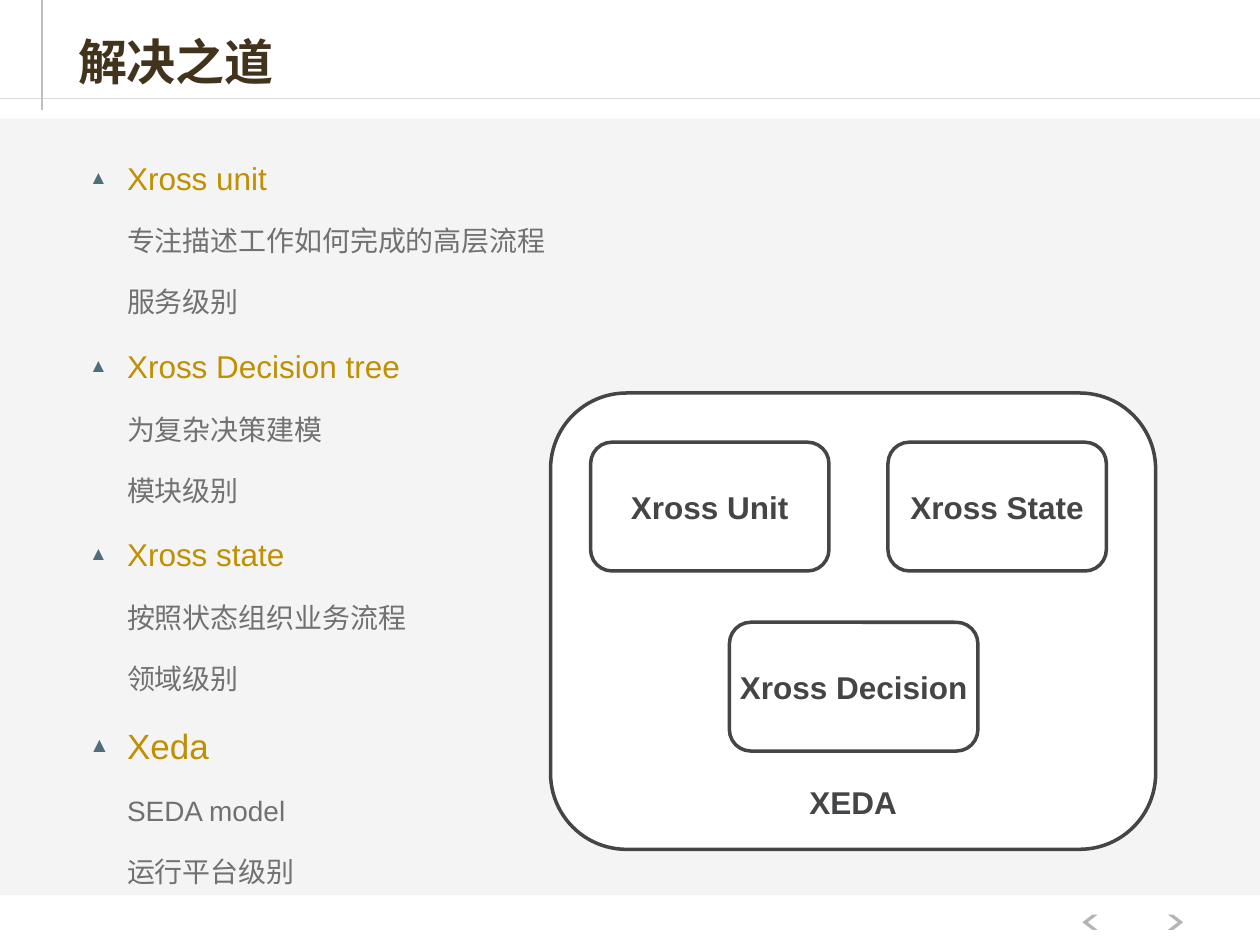
import pptx
import pptx.util
import pptx.dml.color
import pptx.enum.shapes
import pptx.enum.text
import pptx.oxml.ns
import lxml.etree

Pt = pptx.util.Pt
Kind = pptx.enum.shapes.MSO_SHAPE
Align = pptx.enum.text.PP_ALIGN
Anchor = pptx.enum.text.MSO_ANCHOR
qn = pptx.oxml.ns.qn


def rgb(code):
    return pptx.dml.color.RGBColor.from_string(code)


def sub(node, tag, **attrs):
    return lxml.etree.SubElement(node, qn(tag), attrs)


class Deck:
    INK, GOLD, GREY, BROWN = "434547", "BF9000", "717171", "42331C"

    def __init__(self):
        self.prs = pptx.Presentation()
        self.prs.slide_width, self.prs.slide_height = Pt(720), Pt(540)
        self.slide = self.prs.slides.add_slide(self.prs.slide_layouts[1])
        self.shapes = self.slide.shapes

    def font(self, para, name, size, color, bold=False):
        font = para.font
        font.name, font.size, font.bold = name, Pt(size), bold
        font.color.rgb = rgb(color)

    def line(self, start, end, color, width):
        line = self.shapes.add_connector(
            pptx.enum.shapes.MSO_CONNECTOR.STRAIGHT, *map(Pt, start + end))
        line.line.color.rgb = rgb(color)
        line.line.width = Pt(width)
        sub(line._element.spPr, "a:effectLst")

    def shape(self, kind, box, fill, alpha=None):
        shape = self.shapes.add_shape(kind, *map(Pt, box))
        shape.shadow.inherit = False
        shape.fill.solid()
        shape.fill.fore_color.rgb = rgb(fill)
        shape.line.fill.background()
        if alpha:
            color = shape._element.spPr.find(qn("a:solidFill"))[0]
            sub(color, "a:alpha", val=str(alpha * 1000))
        return shape

    def arrow(self, left, turn):
        shape = self.shape(Kind.CHEVRON, (left, 522.7, 8.6, 8.6), "B2B4B6")
        shape.adjustments[0] = 0.65
        shape.rotation = turn

    def box(self, text, box, anchor=Anchor.MIDDLE):
        shape = self.shape(Kind.ROUNDED_RECTANGLE, box, "FFFFFF")
        shape.line.color.rgb = rgb(self.INK)
        shape.line.width = Pt(2)
        frame = shape.text_frame
        frame.word_wrap, frame.vertical_anchor = False, anchor
        para = frame.paragraphs[0]
        para.text, para.alignment = text, Align.CENTER
        self.font(para, "Arial", 18, self.INK, True)

    def holder(self, index, box, anchor):
        """Move a placeholder into place, in front of what is drawn so far."""
        shape = self.slide.placeholders[index]
        shape.left, shape.top, shape.width, shape.height = map(Pt, box)
        self.shapes._spTree.append(shape._element)
        frame = shape.text_frame
        frame.auto_size = pptx.enum.text.MSO_AUTO_SIZE.NONE
        frame.word_wrap, frame.vertical_anchor = True, anchor
        return frame

    def title(self, text, box):
        para = self.holder(0, box, Anchor.BOTTOM).paragraphs[0]
        para.text, para.alignment = text, Align.LEFT
        para.line_spacing = 0.9
        self.font(para, "Montserrat", 28, self.BROWN, True)

    def item(self, para, text, size, level):
        para.text, para.level = text, level
        para.alignment = Align.JUSTIFY
        para.line_spacing = (1.2, 1.4)[level]
        para.space_before = Pt((12, 8)[level])
        para.space_after = Pt(0)
        self.font(para, "Arial", size, (self.GOLD, self.GREY)[level])
        props = para._p.get_or_add_pPr()
        props.set("marL", str(Pt(28)))
        props.set("indent", str(Pt(0 if level else -21.6)))
        if level:
            sub(props, "a:buNone")
        else:
            sub(sub(props, "a:buClr"), "a:srgbClr", val="4F6D7A")
            sub(props, "a:buSzPct", val="60000")
            sub(props, "a:buFont", typeface="Arial")
            sub(props, "a:buChar", char="▲")

    def body(self, groups, box):
        frame = self.holder(1, box, Anchor.TOP)
        rows = []
        for head, size, notes in groups:
            rows.append((head, size, 0))
            rows += [(note, 16, 1) for note in notes]
        for i, row in enumerate(rows):
            para = frame.add_paragraph() if i else frame.paragraphs[0]
            self.item(para, *row)


GROUPS = [
    ("Xross unit", 18, ["专注描述工作如何完成的高层流程", "服务级别"]),
    ("Xross Decision tree", 18, ["为复杂决策建模", "模块级别"]),
    ("Xross state", 18, ["按照状态组织业务流程", "领域级别"]),
    ("Xeda", 20, ["SEDA model", "运行平台级别"]),
]
PARTS = [
    ("Xross Unit", (337.5, 252.7, 136.2, 73.6)),
    ("Xross Decision", (416.8, 355.6, 142, 73.6)),
    ("Xross State", (507.4, 252.7, 124.8, 73.6)),
]


def main():
    deck = Deck()
    deck.line((0, 56.2), (720, 56.2), "D9DADB", 0.5)
    deck.shape(Kind.RECTANGLE, (0, 68, 720, 443.5), "F2F2F2", 83)
    deck.arrow(667.5, 0)
    deck.arrow(618.5, 180)
    deck.line((24, 0), (24, 63), "BFBFBF", 1.5)
    deck.title("解决之道", (37.4, 10.8, 492.5, 44.6))
    deck.body(GROUPS, (37.4, 82.8, 628, 416))
    deck.box("XEDA", (314.6, 224.6, 345.8, 260.8), Anchor.BOTTOM)
    for text, box in PARTS:
        deck.box(text, box)
    deck.prs.save("out.pptx")


if __name__ == "__main__":
    main()
